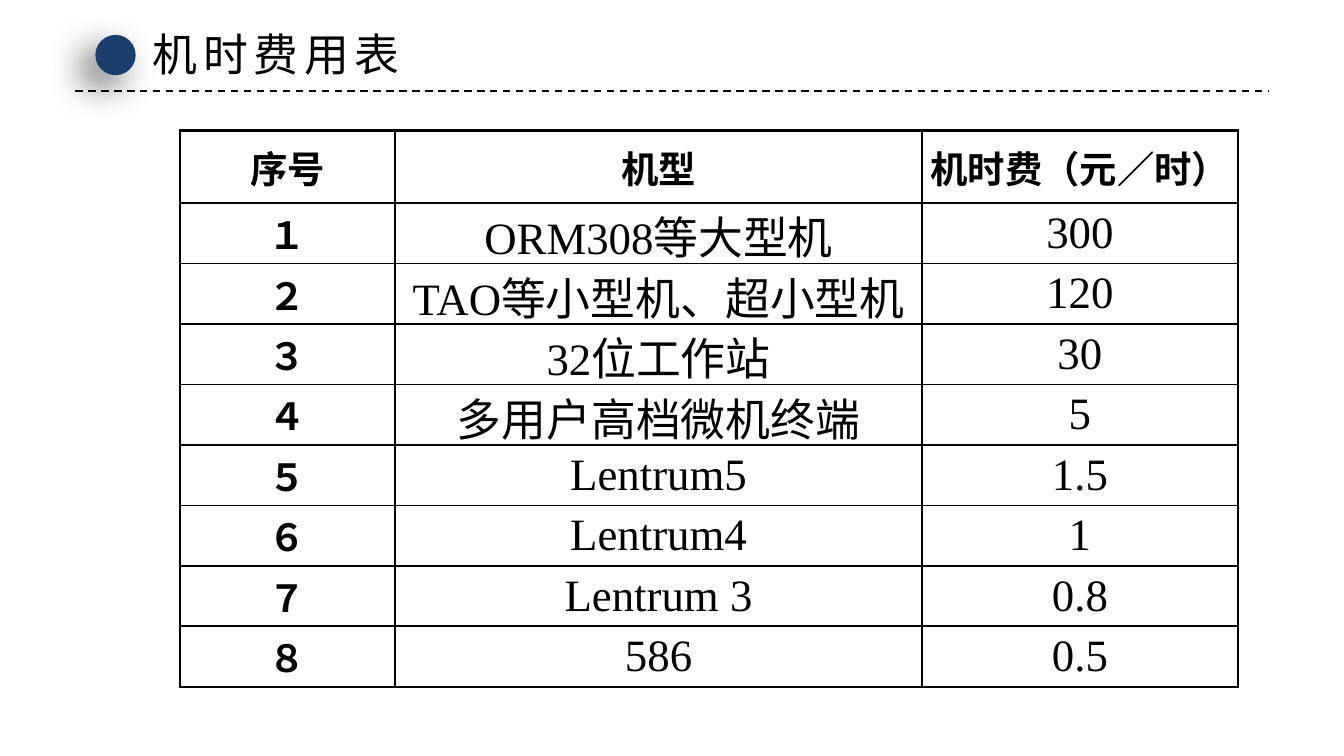
from dataclasses import dataclass

from lxml import etree
from pptx import Presentation
from pptx.dml.color import RGBColor
from pptx.enum.dml import MSO_LINE
from pptx.enum.shapes import MSO_CONNECTOR, MSO_SHAPE
from pptx.enum.text import MSO_ANCHOR, MSO_AUTO_SIZE, PP_ALIGN
from pptx.oxml.ns import qn
from pptx.util import Inches, Pt

DASH = MSO_LINE.DASH
STRAIGHT = MSO_CONNECTOR.STRAIGHT
OVAL = MSO_SHAPE.OVAL
MIDDLE = MSO_ANCHOR.MIDDLE
GROW = MSO_AUTO_SIZE.SHAPE_TO_FIT_TEXT
CENTER = PP_ALIGN.CENTER


@dataclass(frozen=True)
class Theme:
    ink: str = "000000"
    navy: str = "1A3F6C"
    latin: str = "Times New Roman"
    asian: str = "Noto Sans CJK SC"
    large: int = 24
    small: int = 20
    thin: float = 1
    thick: float = 1.5


def add(parent, tag, **attrs):
    node = etree.SubElement(parent, qn(tag))
    for name, value in attrs.items():
        node.set(name, str(value))
    return node


class Deck:
    def __init__(self, theme):
        self.theme = theme
        self.file = Presentation()
        self.file.slide_width = Inches(10)
        self.file.slide_height = Inches(10 * 9 / 16)
        self.slide = self.file.slides.add_slide(self.file.slide_layouts[6])

    def color(self, code):
        return RGBColor.from_string(code)

    def run(self, para, text, size, latin, bold=False, gap=0):
        run = para.add_run()
        run.text = text
        font = run.font
        font.size, font.bold, font.name = Pt(size), bold, latin
        font.color.rgb = self.color(self.theme.ink)
        props = run._r.get_or_add_rPr()
        add(props, "a:ea", typeface=self.theme.asian)
        if gap:
            props.set("spc", str(gap * 100))

    def rule(self, left, right, top):
        line = self.slide.shapes.add_connector(
            STRAIGHT, Inches(left), Inches(top), Inches(right), Inches(top))
        line.line.color.rgb = self.color(self.theme.ink)
        line.line.width = Pt(self.theme.thin)
        line.line.dash_style = DASH
        add(line._element.spPr, "a:effectLst")

    def dot(self, left, top, size):
        dot = self.slide.shapes.add_shape(
            OVAL, Inches(left), Inches(top), Inches(size), Inches(size))
        dot.fill.solid()
        dot.fill.fore_color.rgb = self.color(self.theme.navy)
        dot.line.fill.background()
        dot.shadow.inherit = False
        effects = dot._element.spPr.find(qn("a:effectLst"))
        shade = add(effects, "a:outerShdw", blurRad=Pt(20), dist=Pt(10),
                    dir=135 * 60000, algn="tr", rotWithShape=0)
        tint = add(shade, "a:srgbClr", val=self.theme.ink)
        add(tint, "a:alpha", val=60000)

    def title(self, text, left, top, width, height):
        box = self.slide.shapes.add_textbox(
            Inches(left), Inches(top), Inches(width), Inches(height))
        frame = box.text_frame
        frame.word_wrap = False
        frame.auto_size = GROW
        self.run(frame.paragraphs[0], text, self.theme.large,
                 self.theme.asian, gap=3)

    def border(self, cell, widths):
        props = cell._tc.get_or_add_tcPr()
        for spot, (side, width) in enumerate(widths.items()):
            line = etree.Element(qn(f"a:ln{side}"), w=str(Pt(width)))
            fill = add(line, "a:solidFill")
            add(fill, "a:srgbClr", val=self.theme.ink)
            props.insert(spot, line)

    def cell(self, cell, text, head):
        cell.fill.background()
        cell.vertical_anchor = MIDDLE
        cell.margin_left = cell.margin_right = 0
        cell.margin_top = cell.margin_bottom = 0
        para = cell.text_frame.paragraphs[0]
        para.alignment = CENTER
        props = para._p.get_or_add_pPr()
        props.set("marL", str(Inches(0.38)))
        props.set("indent", str(-Inches(0.38)))
        size = self.theme.small if head else self.theme.large
        self.run(para, text, size, self.theme.latin, bold=head)

    def table(self, rows, left, top, widths, heights):
        frame = self.slide.shapes.add_table(
            len(rows), len(widths), Inches(left), Inches(top),
            Inches(sum(widths)), Inches(sum(heights)))
        table = frame.table
        table.first_row = table.horz_banding = False
        for col, width in zip(table.columns, widths):
            col.width = Inches(width)
        for row, height in zip(table.rows, heights):
            row.height = Inches(height)
        thin, thick = self.theme.thin, self.theme.thick
        end, edge = len(rows) - 1, len(widths) - 1
        for r, row in enumerate(rows):
            for c, text in enumerate(row):
                cell = table.cell(r, c)
                self.cell(cell, text, head=r == 0 or c == 0)
                self.border(cell, {
                    "L": thick if c == 0 else thin,
                    "R": thick if c == edge else thin,
                    "T": thick if r == 0 else thin,
                    "B": thick if r == end else thin,
                })


def main():
    deck = Deck(Theme())

    # Heading
    deck.rule(0.56, 9.44, 0.68)
    deck.dot(0.71, 0.26, 0.3)
    deck.title("机时费用表", 1.04, 0.15, 2.1, 0.5)

    # Price table
    rows = [
        ("序号", "机型", "机时费（元／时）"),
        ("１", "ORM308等大型机", "300"),
        ("２", "TAO等小型机、超小型机", "120"),
        ("３", "32位工作站", "30"),
        ("４", "多用户高档微机终端", "5"),
        ("５", "Lentrum5", "1.5"),
        ("６", "Lentrum4", "1"),
        ("７", "Lentrum 3", "0.8"),
        ("８", "586", "0.5"),
    ]
    heights = [0.54] + [0.45] * (len(rows) - 1)
    deck.table(rows, 1.34, 0.97, [1.6, 3.92, 2.35], heights)

    deck.file.save("out.pptx")


if __name__ == "__main__":
    main()
